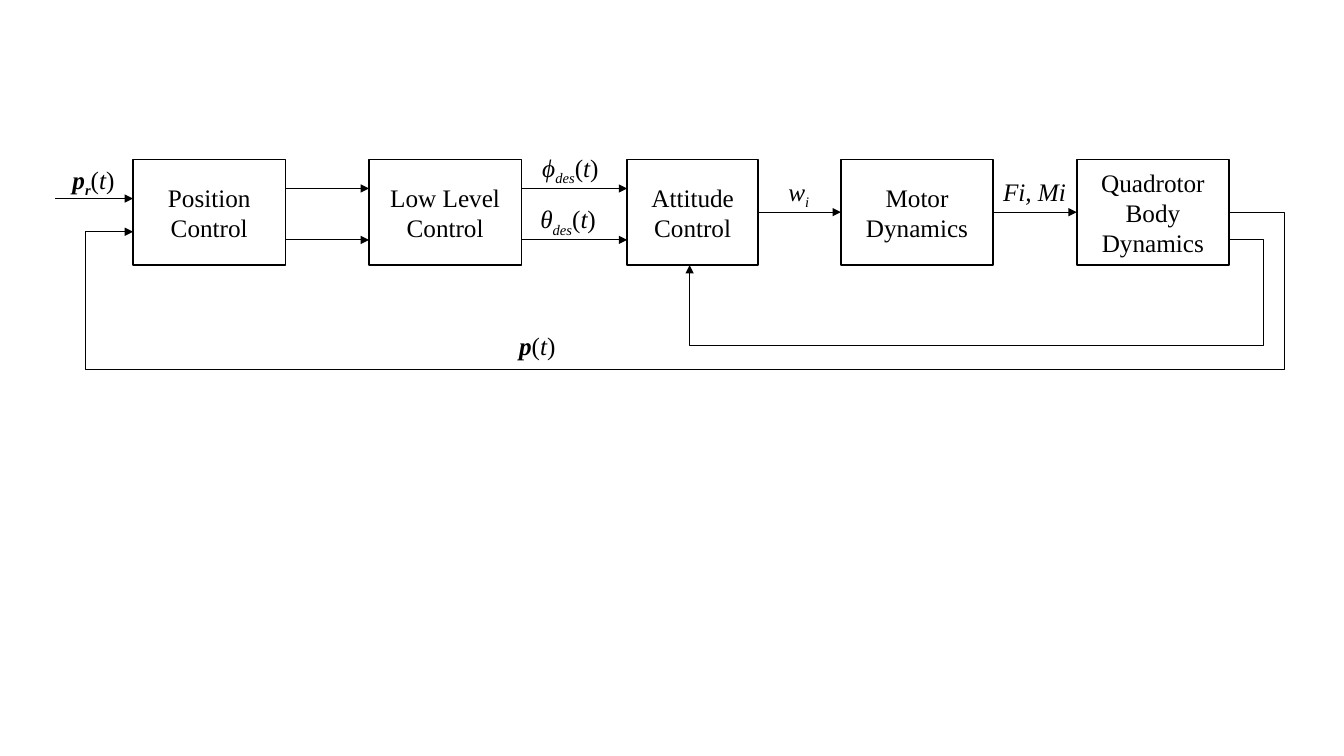
from pptx import Presentation
from pptx.dml.color import RGBColor
from pptx.enum.shapes import MSO_CONNECTOR, MSO_SHAPE
from pptx.enum.text import MSO_ANCHOR, MSO_AUTO_SIZE, PP_ALIGN
from pptx.oxml.ns import qn
from pptx.util import Inches, Pt
from lxml import etree

STRAIGHT = MSO_CONNECTOR.STRAIGHT
RECT = MSO_SHAPE.RECTANGLE
MIDDLE = MSO_ANCHOR.MIDDLE
GROW = MSO_AUTO_SIZE.SHAPE_TO_FIT_TEXT
CENTER = PP_ALIGN.CENTER
RIGHT, LEFT = 3, 1
COLORS = {"ink": "000000", "paper": "FFFFFF"}
FONT = "Times New Roman"

BLOCKS = [
    ("Position Control", 0.77, 1.51),
    ("Low Level Control", 3.11, 1.51),
    ("Attitude Control", 5.67, 1.3),
    ("Motor Dynamics", 7.79, 1.51),
    ("Quadrotor Body Dynamics", 10.13, 1.51),
]
TALL = 1.05
HIGH, MID, LOW = 0.29, 0.53, 0.8
TIME = [("(", ""), ("t", "i"), (")", "")]
LABELS = [
    (0.07, 0, 0.63, [("p", "bi"), ("r", "bis")] + TIME),
    (4.73, -0.12, 0.8, [("ϕ", "i"), ("des", "is")] + TIME),
    (4.71, 0.39, 0.79, [("θ", "i"), ("des", "is")] + TIME),
    (7.17, 0.12, 0.42, [("w", "i"), ("i", "is")]),
    (9.3, 0.12, 0.83, [("Fi, Mi", "i")]),
    (4.5, 1.65, 0.57, [("p", "bi")] + TIME),
]


def ink(name):
    return RGBColor.from_string(COLORS[name])


def style(para):
    para.font.name = FONT
    para.font.size = Pt(18)
    para.font.color.rgb = ink("ink")


def stroke(shape, width=0.75, head=True):
    shape.line.color.rgb = ink("ink")
    shape.line.width = Pt(width)
    if head:
        line = shape.line._get_or_add_ln()
        etree.SubElement(line, qn("a:tailEnd"), type="triangle")


def block(slide, text, x, y, w, h):
    shape = slide.shapes.add_shape(RECT, Inches(x), Inches(y), Inches(w), Inches(h))
    shape.shadow.inherit = False
    shape.fill.solid()
    shape.fill.fore_color.rgb = ink("paper")
    stroke(shape, 1, False)
    frame = shape.text_frame
    frame.word_wrap = True
    frame.vertical_anchor = MIDDLE
    para = frame.paragraphs[0]
    para.text = text
    para.alignment = CENTER
    style(para)
    return shape


def label(slide, x, y, w, parts):
    box = slide.shapes.add_textbox(Inches(x), Inches(y), Inches(w), Inches(0.4))
    frame = box.text_frame
    frame.word_wrap = False
    frame.auto_size = GROW
    para = frame.paragraphs[0]
    style(para)
    for text, marks in parts:
        run = para.add_run()
        run.text = text
        run.font.bold = "b" in marks
        run.font.italic = "i" in marks
        if "s" in marks:
            run._r.get_or_add_rPr().set("baseline", "-25000")


def arrow(slide, start, end, y):
    link = slide.shapes.add_connector(
        STRAIGHT, Inches(start), Inches(y), Inches(end), Inches(y))
    stroke(link)
    etree.SubElement(link._element.spPr, qn("a:effectLst"))
    return link


def route(slide, points):
    spots = [(Inches(x), Inches(y)) for x, y in points]
    pen = slide.shapes.build_freeform(*spots[0])
    pen.add_line_segments(spots[1:], close=False)
    shape = pen.convert_to_shape()
    shape.shadow.inherit = False
    shape.fill.background()
    stroke(shape)


def diagram(slide, x, y, w, h):
    boxes = [block(slide, text, x + dx, y, wide, TALL) for text, dx, wide in BLOCKS]
    lefts = [x + dx for _, dx, _ in BLOCKS]
    rights = [x + dx + wide for _, dx, wide in BLOCKS]

    arrow(slide, x, lefts[0], y + 0.39)
    for i in (0, 1):
        for row in (HIGH, LOW):
            arrow(slide, rights[i], lefts[i + 1], y + row)
    for i in (2, 3):
        link = arrow(slide, rights[i], lefts[i + 1], y + MID)
        link.begin_connect(boxes[i], RIGHT)
        link.end_connect(boxes[i + 1], LEFT)

    end, base, turn = x + w, y + h, x + 0.3
    route(slide, [(rights[-1], y + MID), (end, y + MID), (end, base),
                  (turn, base), (turn, y + 0.72), (lefts[0], y + 0.72)])
    end, base, turn = end - 0.21, base - 0.24, x + 6.29
    route(slide, [(rights[-1], y + LOW), (end, y + LOW), (end, base),
                  (turn, base), (turn, y + TALL)])

    for dx, dy, wide, parts in LABELS:
        label(slide, x + dx, y + dy, wide, parts)


def main():
    deck = Presentation()
    deck.slide_width = Inches(13.33)
    deck.slide_height = Inches(7.5)
    slide = deck.slides.add_slide(deck.slide_layouts[6])
    diagram(slide, 0.55, 1.58, 12.19, 2.09)
    deck.save("out.pptx")


if __name__ == "__main__":
    main()
